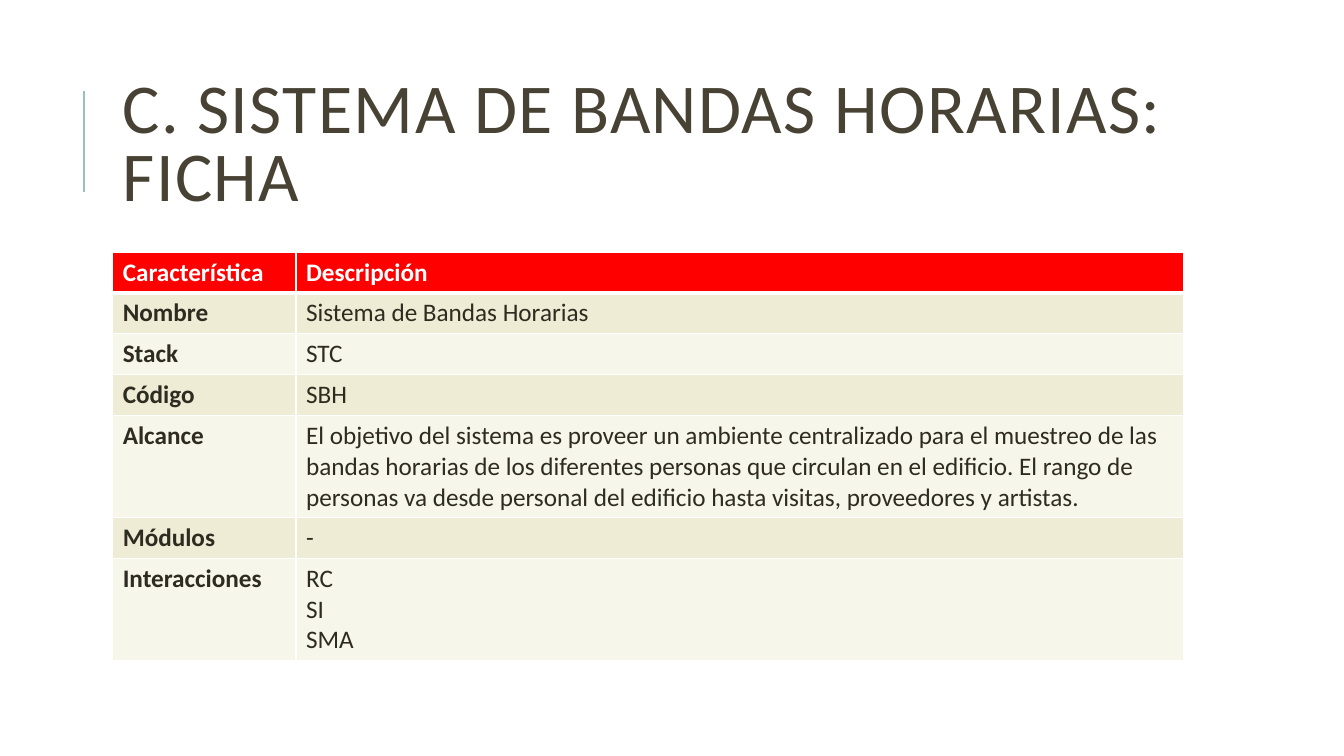
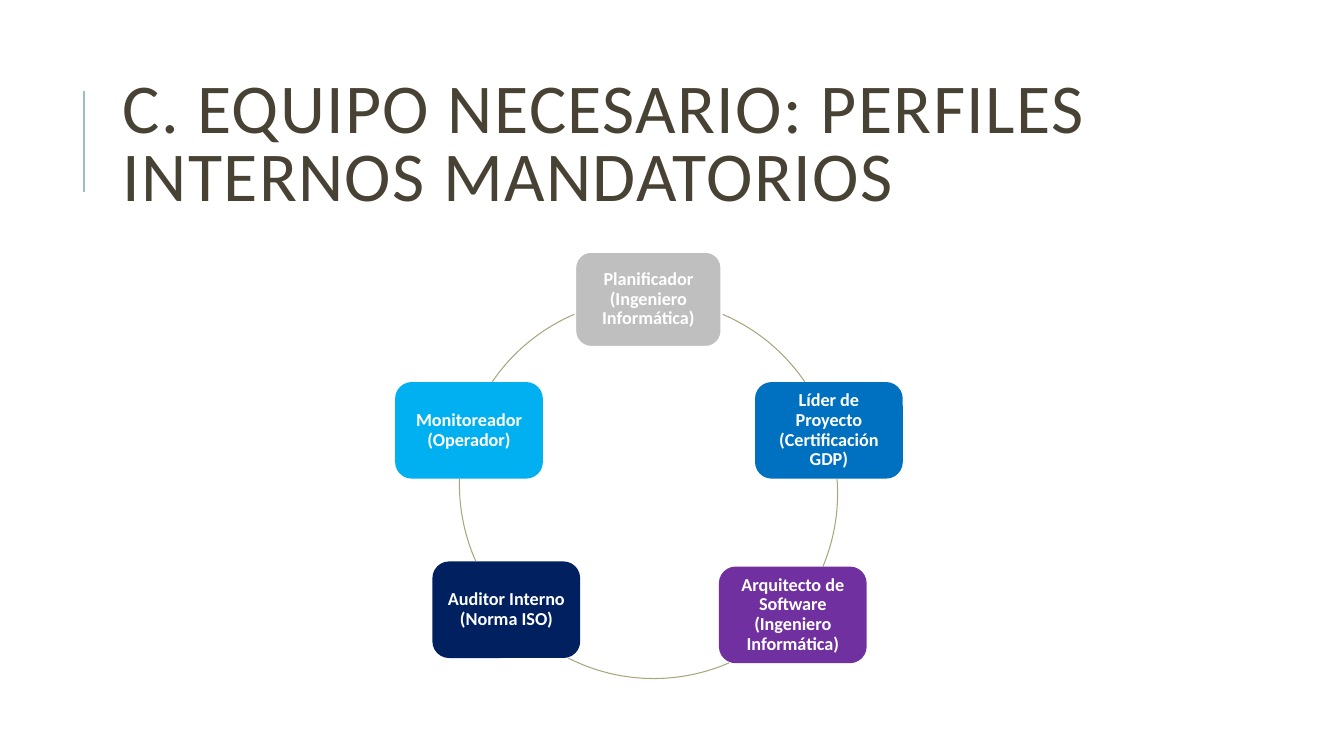
"""Build two slides: a system data sheet and a ring of internal team profiles."""

from dataclasses import dataclass

from lxml.etree import SubElement
from pptx import Presentation
from pptx.dml.color import RGBColor
from pptx.enum.shapes import MSO_CONNECTOR, MSO_SHAPE
from pptx.enum.text import MSO_ANCHOR, PP_ALIGN
from pptx.oxml.ns import qn
from pptx.slide import Slide
from pptx.table import _Cell
from pptx.text.text import TextFrame
from pptx.util import Cm, Pt


@dataclass(frozen=True)
class Theme:
    font: str = "Calibri"
    title_size: float = 50
    table_size: float = 18
    profile_size: float = 13
    title: str = "474233"
    text: str = "2E2B21"
    white: str = "FFFFFF"
    accent: str = "9CBEBD"
    ring: str = "A9A57C"
    header: str = "FF0000"
    bands: tuple[str, str] = ("EEECD4", "F7F6EB")


@dataclass(frozen=True)
class Feature:
    name: str
    description: str
    lines: int = 1


@dataclass(frozen=True)
class Profile:
    text: str
    left: float
    top: float
    fill: str
    outline: str


@dataclass(frozen=True)
class RingArc:
    left: float
    top: float
    start: float
    end: float


THEME = Theme()
CONTENT_LEFT = 2.84
CONTENT_WIDTH = 27.0
CONTENT_TOP = 6.35
FIRST_COLUMN_WIDTH = 4.62
ROW_HEIGHT = 1.03
EXTRA_LINE_HEIGHT = 0.77
PROFILE_WIDTH = 3.68
PROFILE_HEIGHT = 2.39
RING_DIAMETER = 9.53

FEATURES = (
    Feature("Característica", "Descripción"),
    Feature("Nombre", "Sistema de Bandas Horarias"),
    Feature("Stack", "STC"),
    Feature("Código", "SBH"),
    Feature(
        "Alcance",
        "El objetivo del sistema es proveer un ambiente centralizado para el muestreo "
        "de las bandas horarias de los diferentes personas que circulan en el edificio. "
        "El rango de personas va desde personal del edificio hasta visitas, proveedores "
        "y artistas.",
        3,
    ),
    Feature("Módulos", "-"),
    Feature("Interacciones", "RC\nSI\nSMA", 3),
)

PROFILES = (
    Profile("Planificador (Ingeniero Informática)", 14.5, CONTENT_TOP, "BFBFBF", THEME.white),
    Profile("Líder de Proyecto (Certificación GDP)", 19.05, 9.65, "0070C0", "0070C0"),
    Profile("Arquitecto de Software (Ingeniero Informática)", 18.14, 14.3, "7030A0", "7030A0"),
    Profile("Auditor Interno (Norma ISO)", 10.92, 14.17, "002060", "002060"),
    Profile("Monitoreador (Operador)", 9.98, 9.65, "00B0F0", "00B0F0"),
)

RING_ARCS = (
    RingArc(11.58, 7.54, 293.1, 325.7),
    RingArc(11.58, 7.67, 355.6, 22.7),
    RingArc(11.71, 7.57, 66.5, 116.8),
    RingArc(11.58, 7.44, 156, 181.7),
    RingArc(11.58, 7.54, 214.3, 246.9),
)


def color(value: str) -> RGBColor:
    return RGBColor.from_string(value)


def format_text(
    text_frame: TextFrame, size: float, text_color: str, bold: bool = False, tracking: float = 0
) -> None:
    for paragraph in text_frame.paragraphs:
        for run in paragraph.runs:
            run.font.name = THEME.font
            run.font.size = Pt(size)
            run.font.bold = bold
            run.font.color.rgb = color(text_color)
            if tracking:
                run._r.get_or_add_rPr().set("spc", str(int(tracking * 100)))


def add_title(slide: Slide, title: str) -> None:
    rule = slide.shapes.add_connector(
        MSO_CONNECTOR.STRAIGHT, Cm(2.11), Cm(4.83), Cm(2.11), Cm(2.29)
    )
    rule.line.color.rgb = color(THEME.accent)
    rule.line.width = Pt(1.5)
    SubElement(rule._element.spPr, qn("a:effectLst"))

    box = slide.shapes.add_textbox(Cm(CONTENT_LEFT), Cm(1.63), Cm(CONTENT_WIDTH), Cm(4.17))
    text_frame = box.text_frame
    text_frame.word_wrap = True
    text_frame.vertical_anchor = MSO_ANCHOR.MIDDLE
    text_frame.text = title
    text_frame.paragraphs[0].line_spacing = 0.8
    format_text(text_frame, THEME.title_size, THEME.title, tracking=1)


def set_borders(cell: _Cell, top: float, bottom: float) -> None:
    properties = cell._tc.get_or_add_tcPr()
    for side, width in (("L", 1), ("R", 1), ("T", top), ("B", bottom)):
        line = SubElement(properties, qn(f"a:ln{side}"), w=str(Pt(width)))
        fill = SubElement(line, qn("a:solidFill"))
        SubElement(fill, qn("a:srgbClr"), val=THEME.white)


def add_feature_table(slide: Slide, features: tuple[Feature, ...]) -> None:
    heights = [ROW_HEIGHT + EXTRA_LINE_HEIGHT * (feature.lines - 1) for feature in features]
    table = slide.shapes.add_table(
        len(features), 2, Cm(CONTENT_LEFT), Cm(CONTENT_TOP), Cm(CONTENT_WIDTH), Cm(sum(heights))
    ).table
    table.horz_banding = False
    table.columns[0].width = Cm(FIRST_COLUMN_WIDTH)
    table.columns[1].width = Cm(CONTENT_WIDTH - FIRST_COLUMN_WIDTH)
    for row, (feature, height) in enumerate(zip(features, heights)):
        table.rows[row].height = Cm(height)
        is_header = row == 0
        fill = THEME.header if is_header else THEME.bands[(row - 1) % 2]
        text_color = THEME.white if is_header else THEME.text
        for column, text in enumerate((feature.name, feature.description)):
            cell = table.cell(row, column)
            set_borders(cell, top=3 if row == 1 else 1, bottom=3 if is_header else 1)
            cell.fill.solid()
            cell.fill.fore_color.rgb = color(fill)
            cell.text_frame.text = text
            format_text(
                cell.text_frame, THEME.table_size, text_color, bold=is_header or column == 0
            )


def add_profile(slide: Slide, profile: Profile) -> None:
    shape = slide.shapes.add_shape(
        MSO_SHAPE.ROUNDED_RECTANGLE,
        Cm(profile.left), Cm(profile.top), Cm(PROFILE_WIDTH), Cm(PROFILE_HEIGHT),
    )
    shape.shadow.inherit = False
    shape.fill.solid()
    shape.fill.fore_color.rgb = color(profile.fill)
    shape.line.color.rgb = color(profile.outline)
    shape.line.width = Pt(1.25)
    text_frame = shape.text_frame
    text_frame.word_wrap = True
    text_frame.vertical_anchor = MSO_ANCHOR.MIDDLE
    text_frame.margin_left = text_frame.margin_right = Cm(0.13)
    text_frame.margin_top = text_frame.margin_bottom = Cm(0.13)
    text_frame.text = profile.text
    paragraph = text_frame.paragraphs[0]
    paragraph.alignment = PP_ALIGN.CENTER
    paragraph.line_spacing = 0.9
    format_text(text_frame, THEME.profile_size, THEME.white, bold=True)


def add_ring_arc(slide: Slide, arc: RingArc) -> None:
    shape = slide.shapes.add_shape(
        MSO_SHAPE.ARC, Cm(arc.left), Cm(arc.top), Cm(RING_DIAMETER), Cm(RING_DIAMETER)
    )
    units_per_degree = 0.6
    shape.adjustments[0] = arc.start * units_per_degree
    shape.adjustments[1] = arc.end * units_per_degree
    shape.shadow.inherit = False
    shape.fill.background()
    shape.line.color.rgb = color(THEME.ring)
    shape.line.width = Pt(0.75)


def main() -> None:
    presentation = Presentation()
    presentation.slide_width = Cm(33.87)
    presentation.slide_height = Cm(19.05)
    blank_layout = presentation.slide_layouts[6]

    system_slide = presentation.slides.add_slide(blank_layout)
    add_title(system_slide, "C. SISTEMA DE BANDAS HORARIAS: FICHA")
    add_feature_table(system_slide, FEATURES)

    team_slide = presentation.slides.add_slide(blank_layout)
    add_title(team_slide, "C. EQUIPO NECESARIO: PERFILES INTERNOS MANDATORIOS")
    for profile, arc in zip(PROFILES, RING_ARCS):
        add_profile(team_slide, profile)
        add_ring_arc(team_slide, arc)

    presentation.save("out.pptx")


if __name__ == "__main__":
    main()
